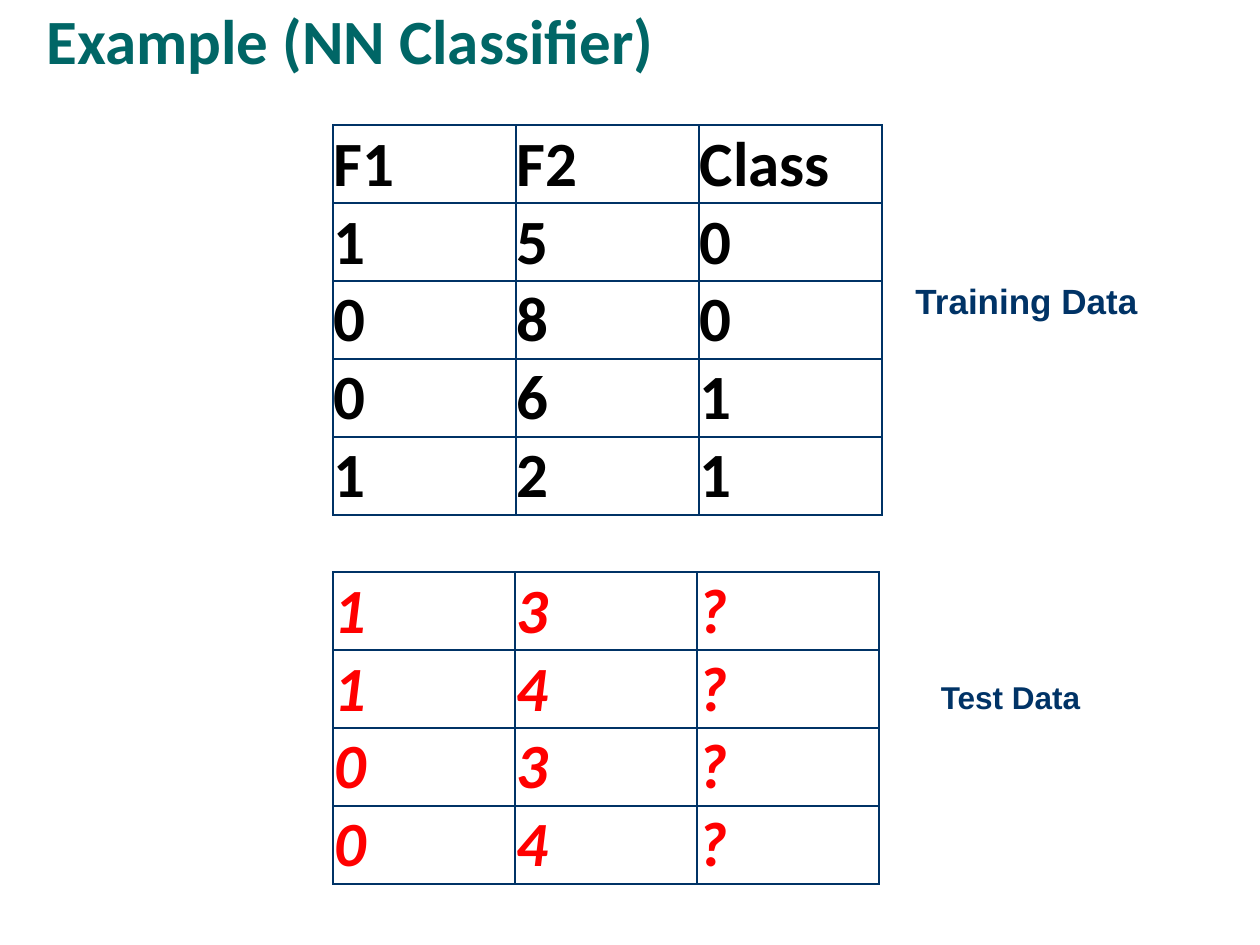
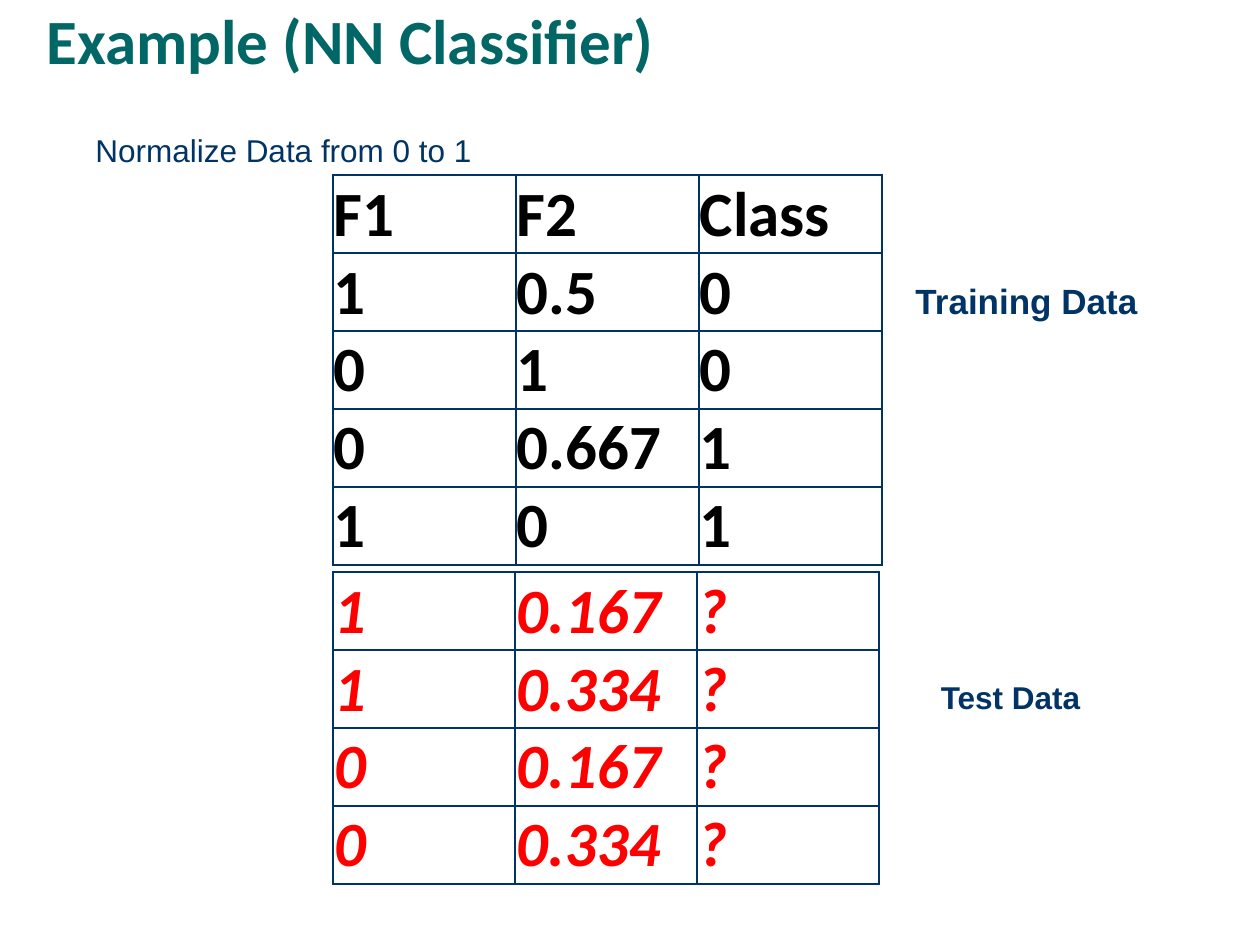
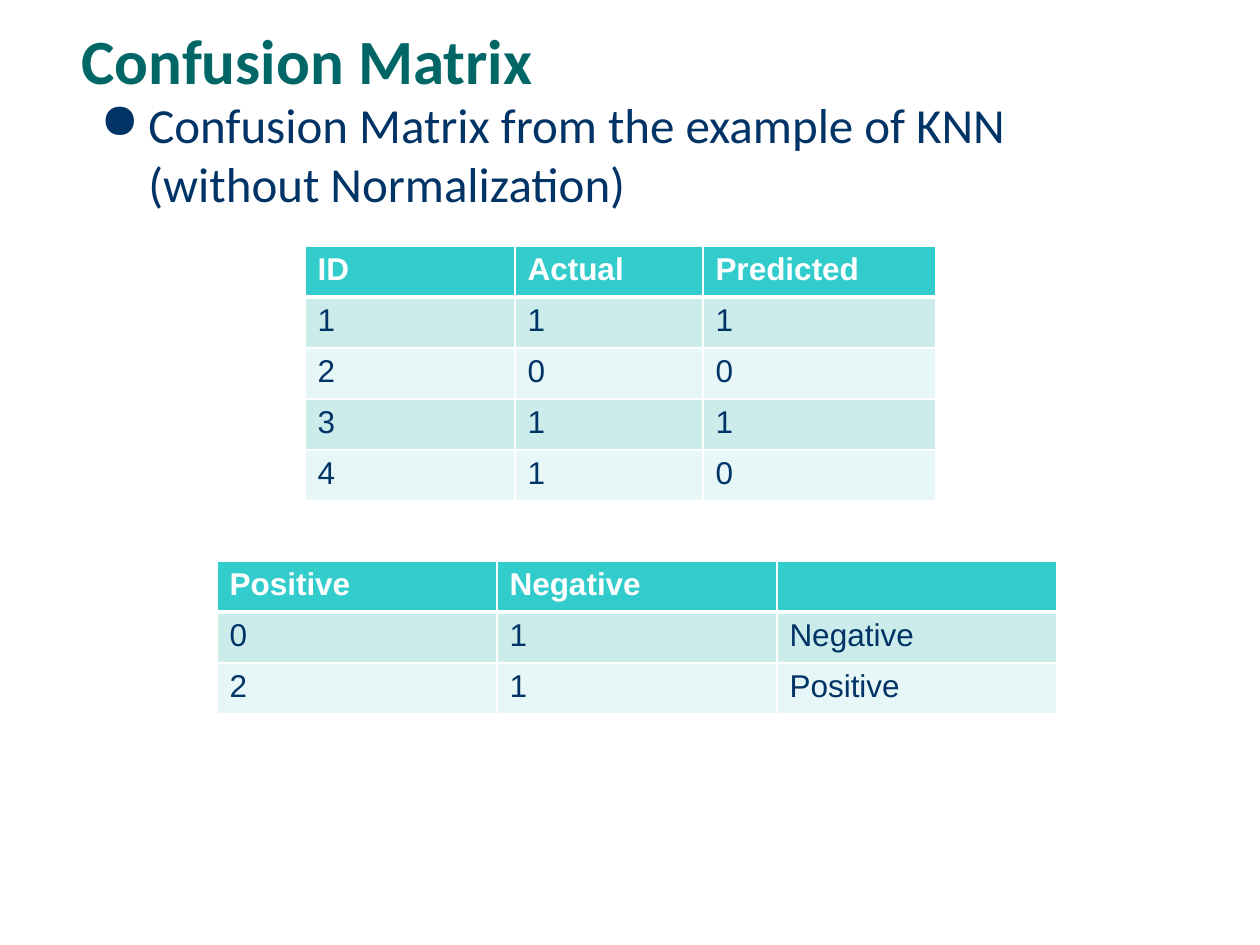
from dataclasses import dataclass

from lxml import etree
from pptx import Presentation
from pptx.dml.color import RGBColor
from pptx.enum.text import MSO_ANCHOR, PP_ALIGN
from pptx.oxml.ns import qn
from pptx.util import Emu, Pt

TOP, BOTTOM = MSO_ANCHOR.TOP, MSO_ANCHOR.BOTTOM
LEFT, CENTER = PP_ALIGN.LEFT, PP_ALIGN.CENTER
PX_PER_INCH = 126
BLANK_LAYOUT = 6


@dataclass(frozen=True)
class Theme:
    heading_font: str = "Calibri"
    label_font: str = "Arial"
    title: str = "006666"
    navy: str = "003366"
    black: str = "000000"
    red: str = "FF0000"
    white: str = "FFFFFF"
    header: str = "33CCCC"
    bands: tuple = ("CCECEC", "E7F6F6")
    large: int = 36
    body: int = 28
    label: int = 20
    small: int = 18


THEME = Theme()


def text_format(name, size, color, bold=False, italic=False):
    return {"name": name, "size": Pt(size), "bold": bold, "italic": italic,
            "color": color}


TITLE = text_format(THEME.heading_font, THEME.large, THEME.title, bold=True)
BODY = text_format(THEME.heading_font, THEME.body, THEME.navy)
TRAINING = text_format(THEME.heading_font, THEME.large, THEME.black, bold=True)
TEST = text_format(THEME.heading_font, THEME.large, THEME.red, bold=True, italic=True)
TRAINING_LABEL = text_format(THEME.label_font, THEME.label, THEME.navy, bold=True)
TEST_LABEL = text_format(THEME.label_font, THEME.small, THEME.navy, bold=True)
NOTE = text_format(THEME.label_font, THEME.small, THEME.navy)
HEADER = text_format(THEME.label_font, THEME.small, THEME.white, bold=True)


def px(length):
    return Emu(round(length * 914400 / PX_PER_INCH))


def write(paragraph, text, style):
    run = paragraph.add_run()
    run.text = text
    for attribute, value in style.items():
        if attribute == "color":
            run.font.color.rgb = RGBColor.from_string(value)
        else:
            setattr(run.font, attribute, value)


def add_text(slide, box, text, style, align=LEFT, anchor=TOP):
    frame = slide.shapes.add_textbox(*map(px, box)).text_frame
    frame.word_wrap = True
    frame.vertical_anchor = anchor
    paragraph = frame.paragraphs[0]
    paragraph.alignment = align
    write(paragraph, text, style)
    return paragraph


def add_title(slide, text, left=34, top=0):
    title = add_text(slide, (left, top, 1092, 84), text, TITLE, anchor=BOTTOM)
    title.line_spacing = 0.9


def add_bullet(slide, box, text):
    properties = add_text(slide, box, text, BODY)._p.get_or_add_pPr()
    indent = px(48)
    properties.set("marL", str(indent))
    properties.set("indent", str(-indent))
    color = etree.SubElement(properties, qn("a:buClr"))
    etree.SubElement(color, qn("a:srgbClr"), val=THEME.navy)
    etree.SubElement(properties, qn("a:buChar"), char="●")


def set_borders(cell, color, bottom=1):
    # Borders must come before the cell's fill
    widths = {"lnL": 1, "lnR": 1, "lnT": 1, "lnB": bottom}
    for side, width in widths.items():
        line = etree.SubElement(cell._tc.get_or_add_tcPr(), qn(f"a:{side}"),
                                w=str(Pt(width)))
        fill = etree.SubElement(line, qn("a:solidFill"))
        etree.SubElement(fill, qn("a:srgbClr"), val=color)


def add_grid(slide, left, top, columns, row_height, rows, format_cell):
    table = slide.shapes.add_table(
        len(rows), len(columns), px(left), px(top),
        px(sum(columns)), px(row_height * len(rows))).table
    table.first_row = table.horz_banding = False
    for column, width in zip(table.columns, columns):
        column.width = px(width)
    for r, values in enumerate(rows):
        table.rows[r].height = px(row_height)
        for c, value in enumerate(values):
            cell = table.cell(r, c)
            style = format_cell(cell, r)
            if value:
                write(cell.text_frame.paragraphs[0], value, style)


def add_data_table(slide, top, column, rows, style):
    def format_cell(cell, _row):
        margins = {"margin_left": 1, "margin_right": 1, "margin_top": 1,
                   "margin_bottom": 0}
        for margin, length in margins.items():
            setattr(cell, margin, px(length))
        cell.vertical_anchor = BOTTOM
        set_borders(cell, THEME.navy)
        cell.fill.background()
        return style

    add_grid(slide, 333, top, [column] * 3, 78, rows, format_cell)


def add_banded_table(slide, left, top, columns, rows):
    def format_cell(cell, row):
        is_header = row == 0
        set_borders(cell, THEME.white, bottom=3 if is_header else 1)
        cell.fill.solid()
        color = THEME.header if is_header else THEME.bands[(row - 1) % 2]
        cell.fill.fore_color.rgb = RGBColor.from_string(color)
        return HEADER if is_header else NOTE

    add_grid(slide, left, top, columns, 51, rows, format_cell)


def add_classifier_slide(slide, training_top, training_f2, test_f2):
    add_title(slide, "Example (NN Classifier)")
    # Training data
    training = [("F1", "F2", "Class"), *zip("1001", training_f2, "0011")]
    add_data_table(slide, training_top, 183, training, TRAINING)
    add_text(slide, (878, 273, 297, 55), "Training Data", TRAINING_LABEL, CENTER)
    # Test data
    add_data_table(slide, 572, 182, list(zip("1100", test_f2, "????")), TEST)
    add_text(slide, (927, 672, 167, 50), "Test Data", TEST_LABEL, CENTER)


def add_confusion_slide(slide):
    add_title(slide, "Confusion Matrix", 69, 20)
    add_bullet(slide, (88, 88, 1060, 160),
               "Confusion Matrix from the example of KNN (without Normalization)")
    # Predictions by test row
    add_banded_table(slide, 305, 246, [210, 188, 233], [
        ("ID", "Actual", "Predicted"),
        *zip("1234", "1011", "1010"),
    ])
    # Confusion counts
    add_banded_table(slide, 217, 561, [280] * 3, [
        ("Positive", "Negative", ""),
        ("0", "1", "Negative"),
        ("2", "1", "Positive"),
    ])


def main():
    deck = Presentation()
    deck.slide_width, deck.slide_height = px(1260), px(945)
    blank = deck.slide_layouts[BLANK_LAYOUT]
    raw, normalized, confusion = (deck.slides.add_slide(blank) for _ in range(3))

    add_classifier_slide(raw, 125, "5862", "3434")
    add_classifier_slide(normalized, 175, ["0.5", "1", "0.667", "0"],
                         ["0.167", "0.334"] * 2)
    add_text(normalized, (83, 125, 645, 50), "Normalize Data from 0 to 1", NOTE)
    add_confusion_slide(confusion)

    deck.save("out.pptx")


if __name__ == "__main__":
    main()
